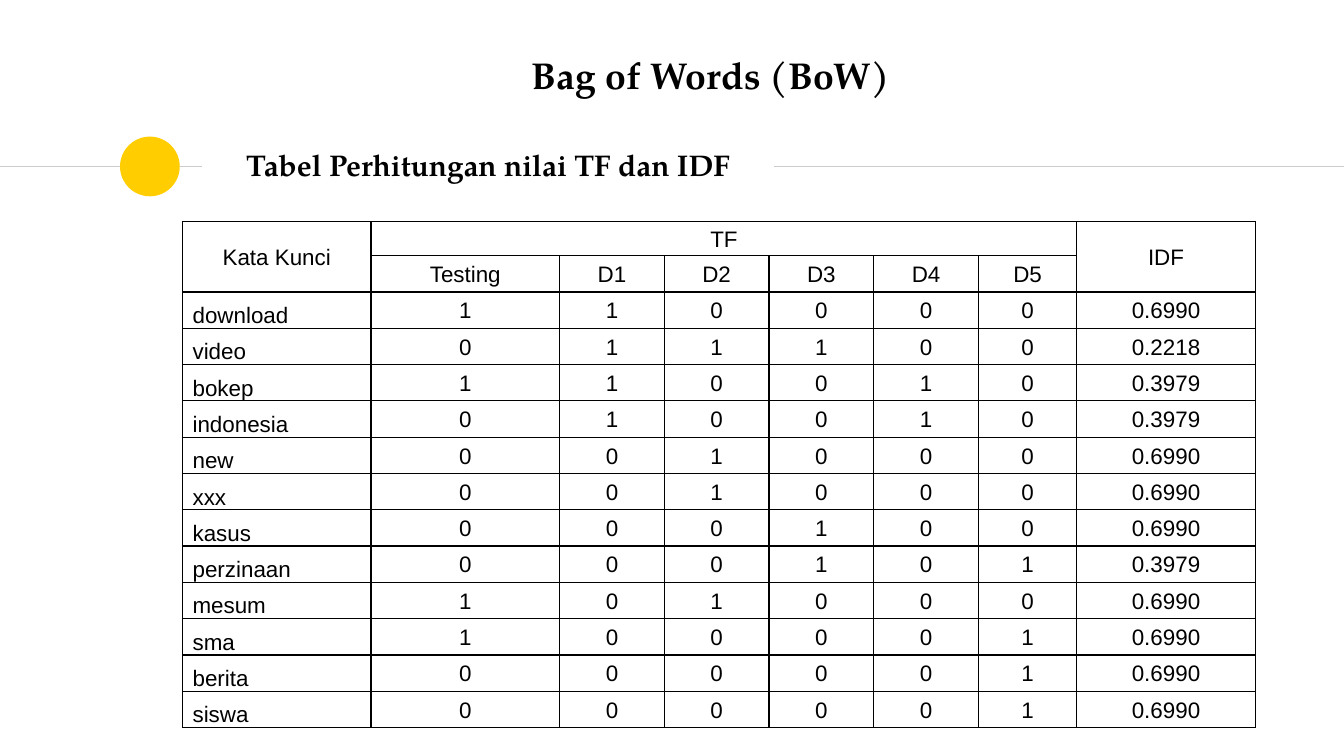
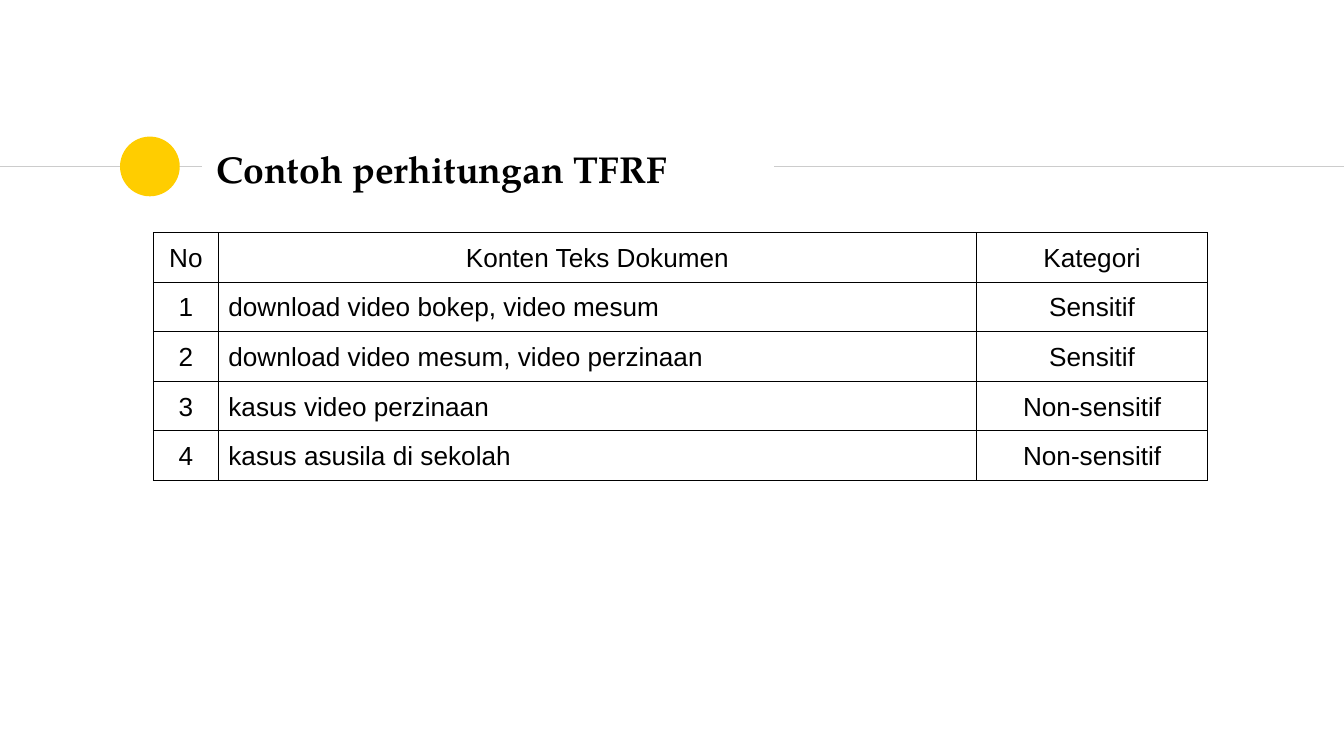
from dataclasses import dataclass

from lxml import etree
from pptx import Presentation
from pptx.dml.color import RGBColor
from pptx.enum.shapes import MSO_CONNECTOR, MSO_SHAPE
from pptx.enum.text import MSO_ANCHOR, MSO_AUTO_SIZE, PP_ALIGN
from pptx.oxml.ns import qn
from pptx.slide import Slide
from pptx.text.text import TextFrame
from pptx.util import Pt

BLACK = RGBColor(0x00, 0x00, 0x00)
WHITE = RGBColor(0xFF, 0xFF, 0xFF)
YELLOW = RGBColor(0xFF, 0xCD, 0x00)
GREY = RGBColor(0xCC, 0xCC, 0xCC)

HEADING_FONT = "TeX Gyre Pagella"
TABLE_FONT = "Arial"

LEFT, CENTER = PP_ALIGN.LEFT, PP_ALIGN.CENTER
MIDDLE, BOTTOM = MSO_ANCHOR.MIDDLE, MSO_ANCHOR.BOTTOM
NO_AUTOFIT = MSO_AUTO_SIZE.NONE
STRAIGHT = MSO_CONNECTOR.STRAIGHT
OVAL = MSO_SHAPE.OVAL

PAGE_WIDTH, PAGE_HEIGHT = 720, 405
RULE_Y = 89.2
RULE_SPANS = [(0, 108), (414.7, PAGE_WIDTH)]
DOT_LEFT, DOT_SIZE = 64.3, 32
HEADING_HEIGHT = 34.6
THIN = 0.75


@dataclass(frozen=True)
class Heading:
    text: str
    left: float
    top: float
    width: float
    size: float


@dataclass(frozen=True)
class Grid:
    left: float
    top: float
    columns: list[float]
    row_heights: list[float]
    rows: list[list[str]]
    size: float
    header_rows: int
    text_column: int
    text_anchor: MSO_ANCHOR
    merges: list[tuple[int, int, int, int]]


TERM_ROWS = """download 1 1 0 0 0 0 0.6990
video 0 1 1 1 0 0 0.2218
bokep 1 1 0 0 1 0 0.3979
indonesia 0 1 0 0 1 0 0.3979
new 0 0 1 0 0 0 0.6990
xxx 0 0 1 0 0 0 0.6990
kasus 0 0 0 1 0 0 0.6990
perzinaan 0 0 0 1 0 1 0.3979
mesum 1 0 1 0 0 0 0.6990
sma 1 0 0 0 0 1 0.6990
berita 0 0 0 0 0 1 0.6990
siswa 0 0 0 0 0 1 0.6990"""

BOW_HEADING = Heading("Bag of Words (BoW)", 277.9, 22.4, 215.3, 20)
TERM_TITLE = Heading("Tabel Perhitungan nilai TF dan IDF", 124.6, 70.8, 305.3, 16)
TERM_GRID = Grid(
    left=97.8,
    top=118.7,
    columns=[101, 101] + [56.1] * 4 + [52.7, 95.6],
    row_heights=[18.3] + [19.45] * 13,
    rows=[
        ["Kata Kunci", "TF", "", "", "", "", "", "IDF"],
        ["", "Testing", "D1", "D2", "D3", "D4", "D5", ""],
        *(line.split() for line in TERM_ROWS.splitlines()),
    ],
    size=12,
    header_rows=2,
    text_column=0,
    text_anchor=BOTTOM,
    merges=[(0, 0, 1, 0), (0, 1, 0, 6), (0, 7, 1, 7)],
)

DOCUMENT_TITLE = Heading("Contoh perhitungan TFRF", 108.7, 72.8, 305.3, 20)
DOCUMENT_GRID = Grid(
    left=82.2,
    top=124.6,
    columns=[34.8, 406.2, 123.9],
    row_heights=[26.55] * 5,
    rows=[
        ["No", "Konten Teks Dokumen", "Kategori"],
        ["1", "download video bokep, video mesum", "Sensitif"],
        ["2", "download video mesum, video perzinaan", "Sensitif"],
        ["3", "kasus video perzinaan", "Non-sensitif"],
        ["4", "kasus asusila di sekolah", "Non-sensitif"],
    ],
    size=14,
    header_rows=1,
    text_column=1,
    text_anchor=MIDDLE,
    merges=[],
)


def write_heading(frame: TextFrame, heading: Heading) -> None:
    frame.text = heading.text
    frame.word_wrap = True
    frame.auto_size = NO_AUTOFIT
    frame.vertical_anchor = MIDDLE
    frame.margin_left = frame.margin_right = Pt(7.2)
    frame.margin_top = frame.margin_bottom = Pt(7.2)
    para = frame.paragraphs[0]
    para.alignment = LEFT
    font = para.runs[0].font
    font.name, font.size, font.bold = HEADING_FONT, Pt(heading.size), True
    font.color.rgb = BLACK


def draw_band(page: Slide) -> None:
    for start, end in RULE_SPANS:
        rule = page.shapes.add_connector(
            STRAIGHT, Pt(start), Pt(RULE_Y), Pt(end), Pt(RULE_Y)
        )
        rule.line.color.rgb = GREY
        rule.line.width = Pt(THIN)
        properties = rule.element.find(qn("p:spPr"))
        etree.SubElement(properties, qn("a:effectLst"))
    dot = page.shapes.add_shape(
        OVAL, Pt(DOT_LEFT), Pt(RULE_Y - DOT_SIZE / 2), Pt(DOT_SIZE), Pt(DOT_SIZE)
    )
    dot.shadow.inherit = False
    dot.fill.solid()
    dot.fill.fore_color.rgb = YELLOW
    dot.line.fill.background()


def add_page(deck: Presentation, title: Heading) -> Slide:
    page = deck.slides.add_slide(deck.slide_layouts[5])
    page.background.fill.solid()
    page.background.fill.fore_color.rgb = WHITE
    box = page.shapes.title
    box.left, box.top = Pt(title.left), Pt(title.top)
    box.width, box.height = Pt(title.width), Pt(HEADING_HEIGHT)
    write_heading(box.text_frame, title)
    draw_band(page)
    return page


def add_heading(page: Slide, heading: Heading) -> None:
    box = page.shapes.add_textbox(
        Pt(heading.left), Pt(heading.top), Pt(heading.width), Pt(HEADING_HEIGHT)
    )
    write_heading(box.text_frame, heading)


def border_cell(cell) -> None:
    properties = cell._tc.get_or_add_tcPr()
    for index, side in enumerate(("lnL", "lnR", "lnT", "lnB")):
        line = etree.Element(qn(f"a:{side}"), w=str(Pt(THIN)))
        fill = etree.SubElement(line, qn("a:solidFill"))
        etree.SubElement(fill, qn("a:srgbClr"), val=str(BLACK))
        properties.insert(index, line)


def draw_grid(page: Slide, grid: Grid) -> None:
    table = page.shapes.add_table(
        len(grid.rows),
        len(grid.columns),
        Pt(grid.left),
        Pt(grid.top),
        Pt(sum(grid.columns)),
        Pt(sum(grid.row_heights)),
    ).table
    table.first_row = table.horz_banding = False
    for column, width in zip(table.columns, grid.columns):
        column.width = Pt(width)
    for row, height in zip(table.rows, grid.row_heights):
        row.height = Pt(height)
    for row_index, texts in enumerate(grid.rows):
        for column_index, text in enumerate(texts):
            cell = table.cell(row_index, column_index)
            is_text = (
                row_index >= grid.header_rows and column_index == grid.text_column
            )
            cell.fill.background()
            border_cell(cell)
            cell.margin_left = cell.margin_right = Pt(5.4)
            cell.margin_top = cell.margin_bottom = Pt(0)
            cell.vertical_anchor = grid.text_anchor if is_text else MIDDLE
            cell.text_frame.text = text
            para = cell.text_frame.paragraphs[0]
            para.alignment = LEFT if is_text else CENTER
            para.line_spacing = 1.07
            para.font.size = Pt(grid.size)
            for span in para.runs:
                span.font.name, span.font.size = TABLE_FONT, Pt(grid.size)
                span.font.color.rgb = BLACK
    for top, left, bottom, right in grid.merges:
        table.cell(top, left).merge(table.cell(bottom, right))


def main() -> None:
    deck = Presentation()
    deck.slide_width, deck.slide_height = Pt(PAGE_WIDTH), Pt(PAGE_HEIGHT)

    term_page = add_page(deck, TERM_TITLE)
    draw_grid(term_page, TERM_GRID)
    add_heading(term_page, BOW_HEADING)

    document_page = add_page(deck, DOCUMENT_TITLE)
    draw_grid(document_page, DOCUMENT_GRID)

    deck.save("out.pptx")


if __name__ == "__main__":
    main()
